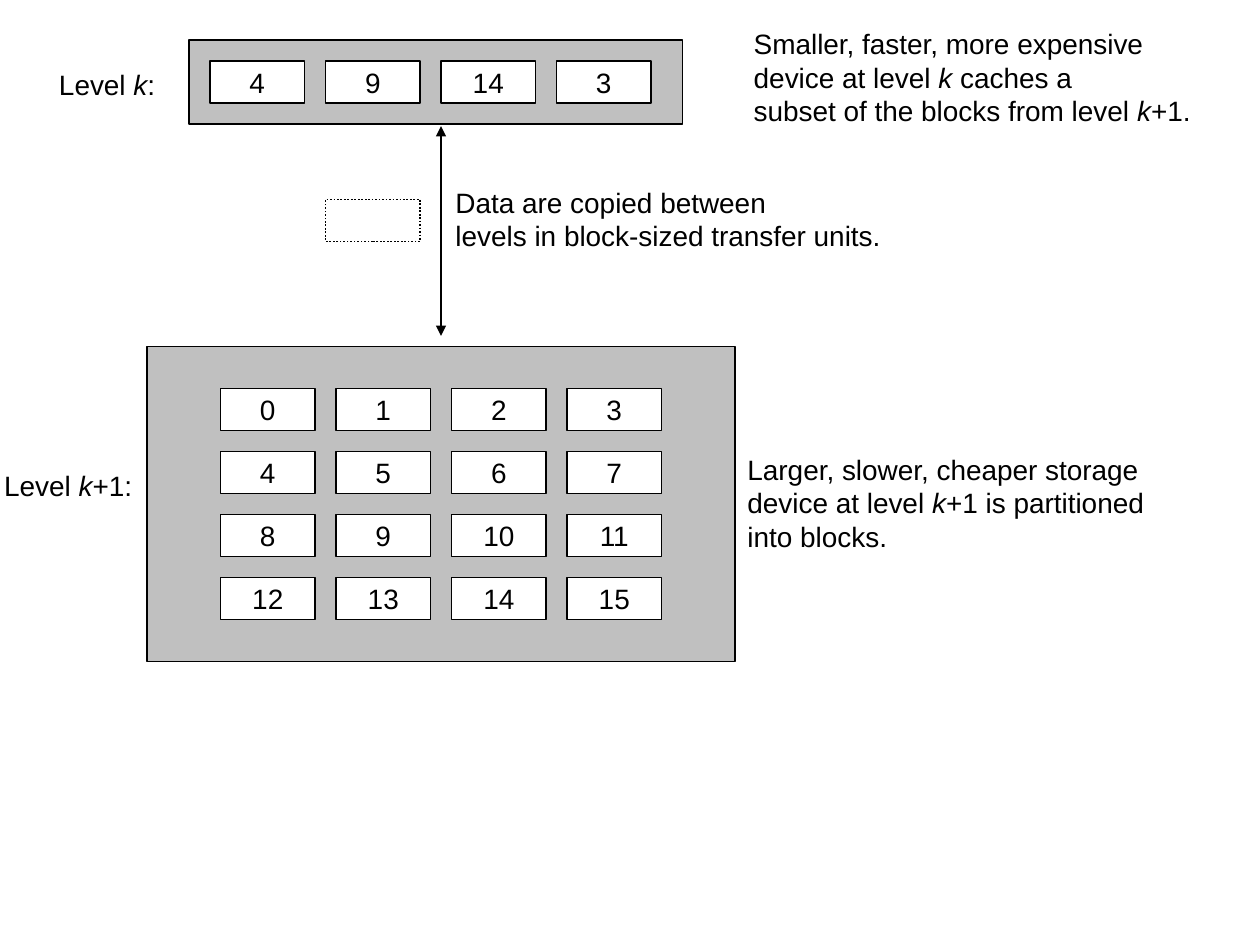
import pptx
import pptx.dml.color
import pptx.enum.dml
import pptx.enum.shapes
import pptx.enum.text
import pptx.oxml.ns
import pptx.util
from lxml import etree

PX_PER_INCH = 120
BLACK = pptx.dml.color.RGBColor(0x00, 0x00, 0x00)
WHITE = pptx.dml.color.RGBColor(0xFF, 0xFF, 0xFF)
GRAY = pptx.dml.color.RGBColor(0xC0, 0xC0, 0xC0)
CENTER = pptx.enum.text.PP_ALIGN.CENTER
LEFT = pptx.enum.text.PP_ALIGN.LEFT

BLOCK_WIDTH, BLOCK_HEIGHT, BLOCK_GAP = 90, 40, 20
COLUMNS = 4


def px(*lengths):
    return [pptx.util.Emu(length * 914400 // PX_PER_INCH) for length in lengths]


def write_lines(frame, lines, alignment, wrap=False):
    """Write one paragraph per line; parts between asterisks are italic."""
    frame.word_wrap = wrap
    frame.vertical_anchor = pptx.enum.text.MSO_ANCHOR.MIDDLE
    for index, line in enumerate(lines):
        paragraph = frame.add_paragraph() if index else frame.paragraphs[0]
        paragraph.alignment = alignment
        for part_index, part in enumerate(line.split("*")):
            run = paragraph.add_run()
            run.text = part
            run.font.name = "Arial"
            run.font.size = pptx.util.Pt(16)
            run.font.color.rgb = BLACK
            run.font.italic = part_index % 2 == 1


def add_box(slide, left, top, width, height, fill=None):
    shape = slide.shapes.add_shape(
        pptx.enum.shapes.MSO_SHAPE.RECTANGLE, *px(left, top, width, height)
    )
    shape.shadow.inherit = False
    if fill is None:
        shape.fill.background()
    else:
        shape.fill.solid()
        shape.fill.fore_color.rgb = fill
    shape.line.color.rgb = BLACK
    shape.line.width = pptx.util.Pt(1)
    return shape


def add_blocks(slide, left, top, numbers):
    """Lay numbered blocks out in rows of COLUMNS."""
    for index, number in enumerate(numbers):
        row, column = divmod(index, COLUMNS)
        block = add_box(
            slide,
            left + column * (BLOCK_WIDTH + BLOCK_GAP),
            top + row * (BLOCK_HEIGHT + BLOCK_GAP),
            BLOCK_WIDTH,
            BLOCK_HEIGHT,
            WHITE,
        )
        write_lines(block.text_frame, [str(number)], CENTER)


def add_label(slide, left, top, width, height, lines, alignment=LEFT, wrap=False):
    label = slide.shapes.add_textbox(*px(left, top, width, height))
    write_lines(label.text_frame, lines, alignment, wrap)
    label.text_frame.auto_size = pptx.enum.text.MSO_AUTO_SIZE.SHAPE_TO_FIT_TEXT


def add_double_arrow(slide, x, top, bottom):
    arrow = slide.shapes.add_connector(
        pptx.enum.shapes.MSO_CONNECTOR.STRAIGHT, *px(x, top, x, bottom)
    )
    arrow.line.color.rgb = BLACK
    arrow.line.width = pptx.util.Pt(1)
    line = arrow.line._get_or_add_ln()
    for end in ("a:headEnd", "a:tailEnd"):
        etree.SubElement(line, pptx.oxml.ns.qn(end), type="triangle")
    etree.SubElement(arrow._element.spPr, pptx.oxml.ns.qn("a:effectLst"))


def main():
    presentation = pptx.Presentation()
    presentation.slide_width, presentation.slide_height = px(1200, 900)
    slide = presentation.slides.add_slide(presentation.slide_layouts[6])

    add_box(slide, 180, 38, 470, 80, GRAY)
    add_blocks(slide, 200, 58, [4, 9, 14, 3])

    add_box(slide, 140, 330, 560, 300, GRAY)
    add_blocks(slide, 210, 370, range(16))

    add_label(slide, 700, 424, 407, 109, [
        "Larger, slower, cheaper storage",
        "device at level *k*+1 is partitioned",
        "into blocks.",
    ])
    add_label(slide, 706, 19, 445, 109, [
        "Smaller, faster, more expensive",
        "device at level *k* caches a",
        "subset of the blocks from level *k*+1.",
    ])

    add_double_arrow(slide, 420, 120, 320)
    transfer_block = add_box(slide, 310, 190, BLOCK_WIDTH, BLOCK_HEIGHT)
    transfer_block.line.dash_style = pptx.enum.dml.MSO_LINE.ROUND_DOT
    add_label(slide, 422, 170, 438, 77, [
        "Data are copied between",
        "levels in block-sized transfer units.",
    ], wrap=True)

    add_label(slide, 44, 58, 116, 44, ["Level *k*:"], CENTER)
    add_label(slide, -8, 440, 146, 44, ["Level *k*+1:"], CENTER)

    presentation.save("out.pptx")


if __name__ == "__main__":
    main()
